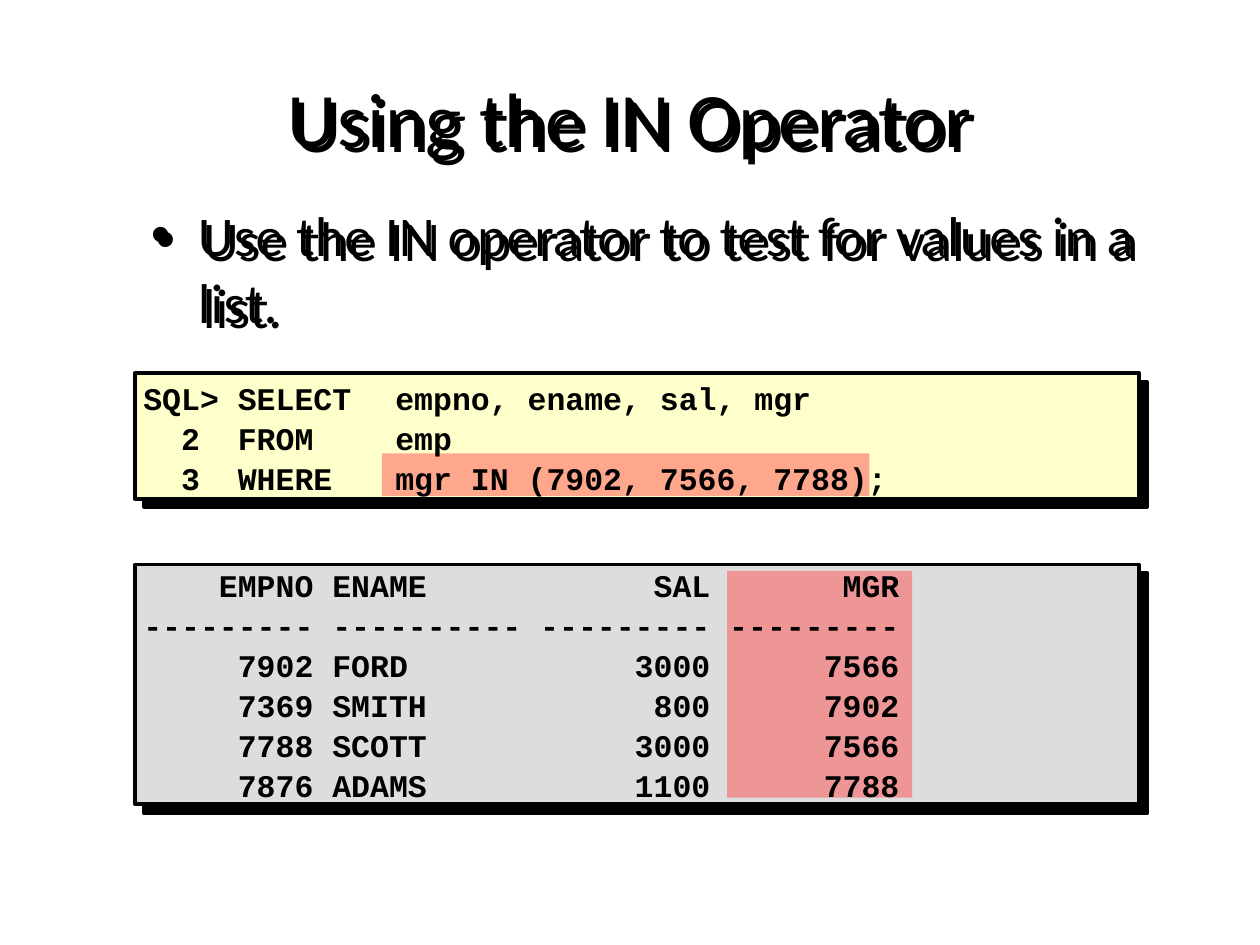
"""Build a slide on the SQL IN operator with a query and its result."""
from lxml.etree import SubElement
from pptx import Presentation
from pptx.dml.color import RGBColor
from pptx.enum.shapes import MSO_SHAPE
from pptx.enum.text import MSO_ANCHOR, PP_ALIGN
from pptx.oxml.ns import qn
from pptx.util import Cm, Pt

BLACK = RGBColor(0x00, 0x00, 0x00)
CREAM = RGBColor(0xFF, 0xFF, 0xCC)
GRAY = RGBColor(0xDD, 0xDD, 0xDD)
RED = RGBColor(0xFF, 0x50, 0x50)

QUERY = [
    "SQL> SELECT\tempno, ename, sal, mgr",
    "  2  FROM \temp",
    "  3  WHERE\tmgr IN (7902, 7566, 7788);",
]
RESULT = [
    "    EMPNO ENAME            SAL       MGR",
    "--------- ---------- --------- ---------",
    "     7902 FORD            3000      7566",
    "     7369 SMITH            800      7902",
    "     7788 SCOTT           3000      7566",
    "     7876 ADAMS           1100      7788",
]


class Deck:
    """Holds the text style and the current slide."""

    text_font = "Calibri"
    code_font = "Courier New"

    def __init__(self, slide):
        self.s = slide

    def shadow(self, sp, distance):
        sp.shadow.inherit = False
        effects = sp._element.spPr.find(qn("a:effectLst"))
        outer = SubElement(effects, qn("a:outerShdw"), dist=str(Pt(distance)),
                           dir="2700000", algn="ctr", rotWithShape="0")
        SubElement(outer, qn("a:srgbClr"), val=str(BLACK))

    def run(self, p, text, font, size, bold=False):
        r = p.add_run()
        r.text = text
        r.font.name, r.font.size, r.font.bold = font, Pt(size), bold
        r.font.color.rgb = BLACK

    def title(self, text, x, y, w, h):
        sp = self.s.shapes.title
        sp.left, sp.top, sp.width, sp.height = Cm(x), Cm(y), Cm(w), Cm(h)
        sp.text_frame.vertical_anchor = MSO_ANCHOR.MIDDLE
        p = sp.text_frame.paragraphs[0]
        p.alignment = PP_ALIGN.CENTER
        self.run(p, text, self.text_font, 44)
        self.shadow(sp, 4)

    def bullet(self, text, x, y, w, h):
        sp = self.s.shapes.add_textbox(Cm(x), Cm(y), Cm(w), Cm(h))
        sp.text_frame.word_wrap = True
        p = sp.text_frame.paragraphs[0]
        pPr = p._p.get_or_add_pPr()
        pPr.set("marL", str(Cm(0.95)))
        pPr.set("indent", str(-Cm(0.95)))
        SubElement(pPr, qn("a:buFont"), typeface="Arial")
        SubElement(pPr, qn("a:buChar"), char="•")
        self.run(p, text, self.text_font, 32)
        self.shadow(sp, 4)

    def rect(self, color, x, y, w, h):
        sp = self.s.shapes.add_shape(MSO_SHAPE.RECTANGLE, Cm(x), Cm(y), Cm(w), Cm(h))
        sp.fill.solid()
        sp.fill.fore_color.rgb = color
        sp.line.fill.background()
        sp.shadow.inherit = False
        return sp

    def panel(self, color, x, y, w, h):
        sp = self.rect(color, x, y, w, h)
        sp.line.color.rgb = BLACK
        sp.line.width = Pt(2)
        self.shadow(sp, 7.1)

    def highlight(self, x, y, w, h):
        sp = self.rect(RED, x, y, w, h)
        color = sp._element.spPr.find(qn("a:solidFill")).find(qn("a:srgbClr"))
        SubElement(color, qn("a:alpha"), val="50000")

    def code(self, lines, x, y, w, h):
        sp = self.s.shapes.add_textbox(Cm(x), Cm(y), Cm(w), Cm(h))
        tf = sp.text_frame
        tf.word_wrap = True
        tf.vertical_anchor = MSO_ANCHOR.MIDDLE
        for i, line in enumerate(lines):
            p = tf.add_paragraph() if i else tf.paragraphs[0]
            tabs = SubElement(p._p.get_or_add_pPr(), qn("a:tabLst"))
            SubElement(tabs, qn("a:tab"), pos=str(Cm(5.08)), algn="l")
            p.line_spacing = 1.06
            self.run(p, line, self.code_font, 18, bold=True)


def main():
    prs = Presentation()
    prs.slide_width, prs.slide_height = Cm(25.4), Cm(19.05)
    deck = Deck(prs.slides.add_slide(prs.slide_layouts[5]))
    deck.title("Using the IN Operator", 1.27, 0.76, 22.86, 3.18)
    deck.bullet("Use the IN operator to test for values in a list.",
                2.79, 3.91, 20.52, 2.97)
    deck.panel(CREAM, 2.72, 7.52, 20.24, 2.54)
    deck.panel(GRAY, 2.72, 11.38, 20.24, 4.83)
    deck.highlight(7.7, 9.14, 9.83, 0.86)
    deck.highlight(14.66, 11.51, 3.73, 4.57)
    deck.code(QUERY, 2.64, 7.49, 20.32, 2.62)
    deck.code(RESULT, 2.64, 11.33, 20.32, 4.9)
    prs.save("out.pptx")


if __name__ == "__main__":
    main()
